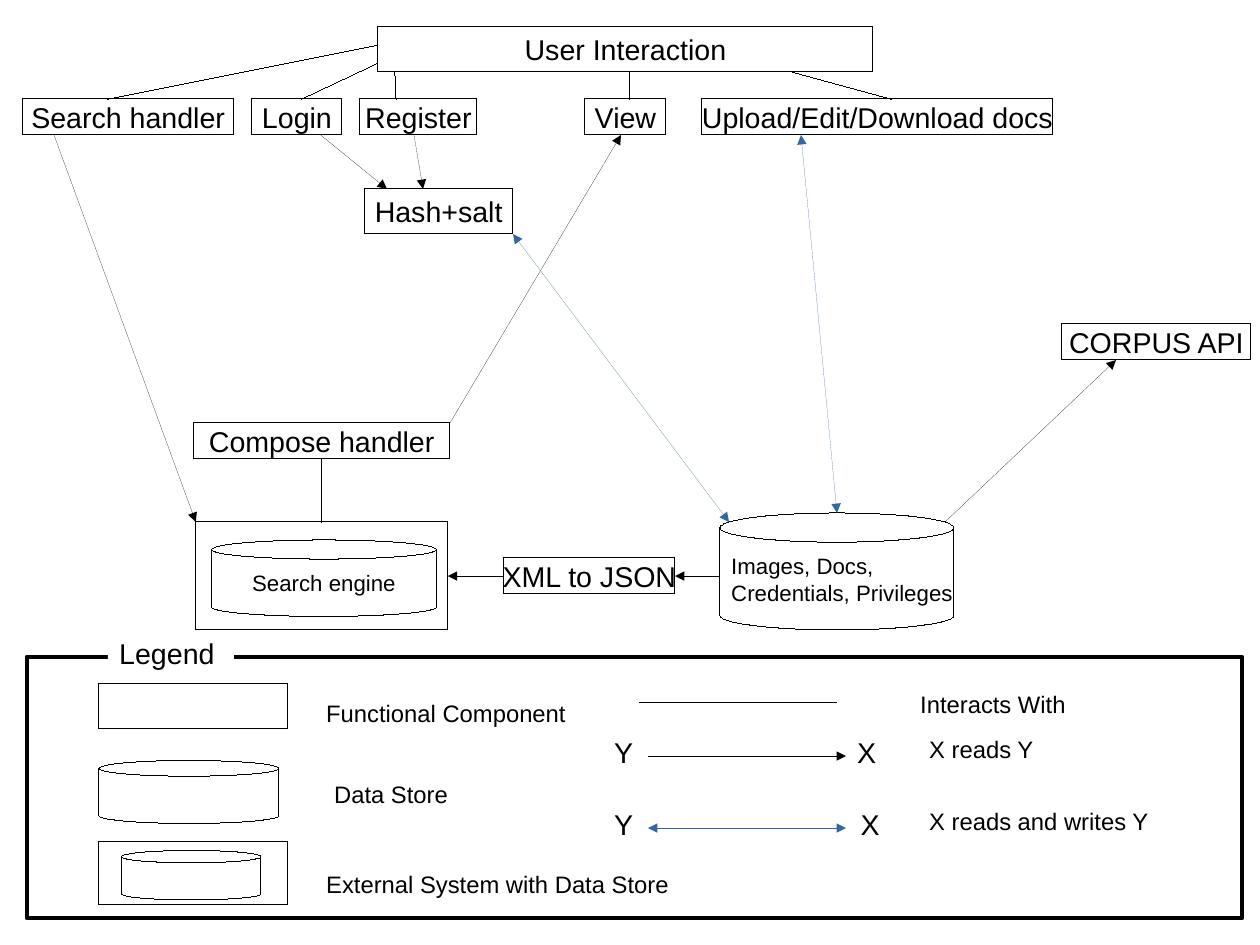
"""Build the component diagram slide with its legend."""
from lxml import etree
from pptx import Presentation
from pptx.dml.color import RGBColor
from pptx.enum.shapes import MSO_CONNECTOR, MSO_SHAPE
from pptx.enum.text import MSO_ANCHOR, MSO_AUTO_SIZE, PP_ALIGN
from pptx.oxml.ns import qn
from pptx.util import Emu, Pt

RECT, CAN = MSO_SHAPE.RECTANGLE, MSO_SHAPE.CAN
STRAIGHT = MSO_CONNECTOR.STRAIGHT
LEFT, CENTER = PP_ALIGN.LEFT, PP_ALIGN.CENTER
TOP, MIDDLE = MSO_ANCHOR.TOP, MSO_ANCHOR.MIDDLE
FIT = MSO_AUTO_SIZE.SHAPE_TO_FIT_TEXT
SIDE_TOP, SIDE_LEFT, SIDE_BOTTOM, SIDE_RIGHT = range(4)

PX = 9000
SLIDE_SIZE = (1120, 840)
FONT = "Arial"
HAIRLINE = Emu(1)
FRAME_WIDTH = Pt(3)
COLORS = {"ink": "000000", "paper": "FFFFFF", "write": "3465A4"}

BOXES = {
    "User Interaction": (336, 24, 440, 40),
    "Search handler": (20, 88, 188, 32),
    "Login": (224, 88, 80, 32),
    "Register": (320, 88, 104, 32),
    "View": (520, 88, 72, 32),
    "Upload/Edit/Download docs": (624, 88, 312, 32),
    "Hash+salt": (324, 168, 132, 40),
    "CORPUS API": (944, 288, 168, 32),
    "Compose handler": (172, 376, 228, 32),
    "XML to JSON": (448, 496, 152, 32),
}
STORES = [
    (["Images, Docs,", "Credentials, Privileges"], (640, 456, 208, 104), LEFT),
    (["Search engine"], (188, 480, 200, 68), CENTER),
]
EXTERNAL_SYSTEM = (174, 464, 224, 96)

LEGEND_FRAME = (24, 584, 1080, 232)
LEGEND_TITLE = ("Legend", (96, 560, 112, 39))
LEGEND_BOXES = [(88, 608, 168, 40), (88, 748, 168, 56)]
LEGEND_STORES = [(88, 676, 160, 56), (108, 756, 124, 44)]
LEGEND_TEXTS = [
    ("Functional Component", (280, 616, 264, 40), 15),
    ("Data Store", (287, 688, 136, 40), 15),
    ("External System with Data Store", (280, 768, 336, 34), 15),
    ("Interacts With", (808, 608, 264, 40), 15),
    ("X reads Y", (816, 648, 176, 40), 15),
    ("X reads and writes Y", (816, 712, 224, 40), 15),
    ("Y", (536, 648, 37, 40), 18),
    ("X", (752, 648, 37, 40), 18),
    ("Y", (536, 712, 37, 40), 18),
    ("X", (755, 712, 37, 40), 18),
]

LINKS = {
    "interacts": [
        ((336, 40), (96, 88)),
        ((336, 56), (268, 88)),
        ((351, 64), (352, 88)),
        ((560, 64), (560, 88)),
        ((704, 64), (792, 88)),
        (("Compose handler", SIDE_BOTTOM), ("External system", SIDE_TOP)),
        ((568, 624), (744, 624)),
    ],
    "reads": [
        ((48, 120), (174, 464)),
        ((285, 120), (344, 168)),
        ((368, 120), (376, 168)),
        ((400, 376), (552, 120)),
        ((840, 464), (992, 320)),
        ((640, 512), ("XML to JSON", SIDE_RIGHT)),
        (("XML to JSON", SIDE_LEFT), ("External system", SIDE_RIGHT)),
        ((576, 672), (752, 672)),
    ],
    "reads and writes": [
        ((648, 464), (456, 208)),
        ((744, 456), (712, 120)),
        ((576, 736), (752, 736)),
    ],
}
LINK_STYLES = {
    "interacts": ("ink", []),
    "reads": ("ink", ["tailEnd"]),
    "reads and writes": ("write", ["headEnd", "tailEnd"]),
}


def color(name):
    return RGBColor.from_string(COLORS[name])


def emu(lengths):
    return [Emu(n * PX) for n in lengths]


def write(s, lines, size, align=LEFT, **frame):
    tf = s.text_frame
    for name, value in frame.items():
        setattr(tf, name, value)
    for i, line in enumerate(lines):
        p = tf.add_paragraph() if i else tf.paragraphs[0]
        p.alignment = align
        r = p.add_run()
        r.text = line
        for name, value in {"name": FONT, "size": Pt(size)}.items():
            setattr(r.font, name, value)
        r.font.color.rgb = color("ink")


def add_outline(shapes, kind, at, width=HAIRLINE):
    s = shapes.add_shape(kind, *emu(at))
    s.shadow.inherit = False
    if kind == CAN:
        s.adjustments[0] = 0.25
        s.fill.solid()
        s.fill.fore_color.rgb = color("paper")
    else:
        s.fill.background()
    s.line.color.rgb = color("ink")
    s.line.width = width
    return s


def add_link(shapes, ends, style, nodes):
    ink, heads = LINK_STYLES[style]
    points = [(0, 0) if isinstance(end[0], str) else end for end in ends]
    c = shapes.add_connector(STRAIGHT, *emu(points[0] + points[1]))
    for end, connect in zip(ends, (c.begin_connect, c.end_connect)):
        if isinstance(end[0], str):
            connect(nodes[end[0]], end[1])
    c.line.color.rgb = color(ink)
    c.line.width = HAIRLINE
    sp_pr = c._element.spPr
    for head in heads:
        etree.SubElement(sp_pr.find(qn("a:ln")), qn(f"a:{head}"), type="triangle")
    etree.SubElement(sp_pr, qn("a:effectLst"))


def add_legend(shapes):
    add_outline(shapes, RECT, LEGEND_FRAME, FRAME_WIDTH)
    title, at = LEGEND_TITLE
    s = add_outline(shapes, RECT, at)
    s.fill.solid()
    s.fill.fore_color.rgb = color("paper")
    s.line.fill.background()
    write(s, [title], 18, word_wrap=True, vertical_anchor=TOP, auto_size=FIT)
    for kind, places in ((RECT, LEGEND_BOXES), (CAN, LEGEND_STORES)):
        for at in places:
            add_outline(shapes, kind, at)
    for text, at, size in LEGEND_TEXTS:
        write(shapes.add_textbox(*emu(at)), [text], size, word_wrap=True, auto_size=FIT)


def main():
    prs = Presentation()
    prs.slide_width, prs.slide_height = emu(SLIDE_SIZE)
    shapes = prs.slides.add_slide(prs.slide_layouts[6]).shapes

    add_legend(shapes)
    nodes = {}
    for name, at in BOXES.items():
        nodes[name] = add_outline(shapes, RECT, at)
        write(nodes[name], [name], 18, CENTER, word_wrap=False, vertical_anchor=MIDDLE)
    for lines, at, align in STORES:
        s = add_outline(shapes, CAN, at)
        write(s, lines, 14, align, word_wrap=False, vertical_anchor=MIDDLE)
    nodes["External system"] = add_outline(shapes, RECT, EXTERNAL_SYSTEM)

    for style, links in LINKS.items():
        for ends in links:
            add_link(shapes, ends, style, nodes)
    prs.save("out.pptx")


if __name__ == "__main__":
    main()
